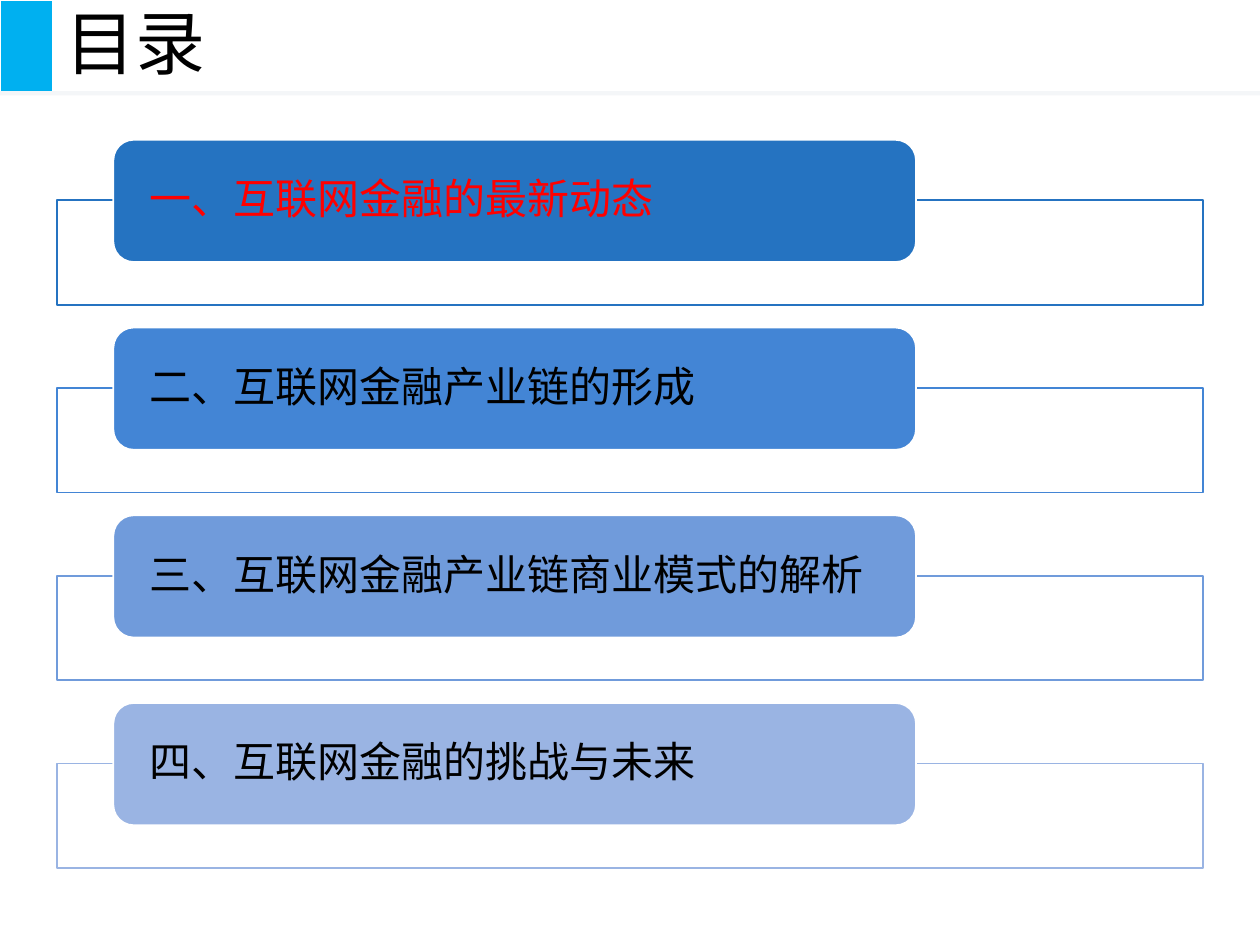
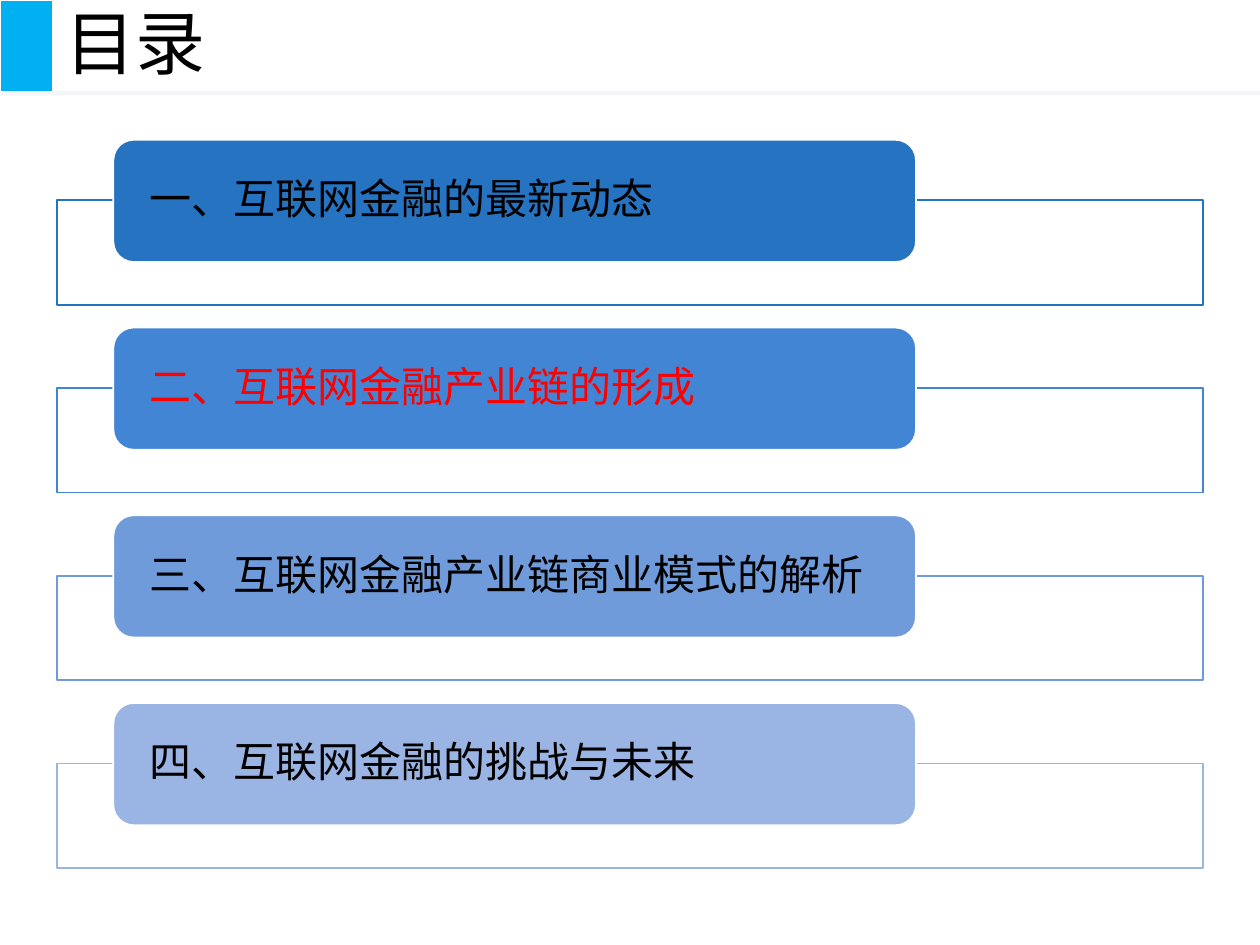
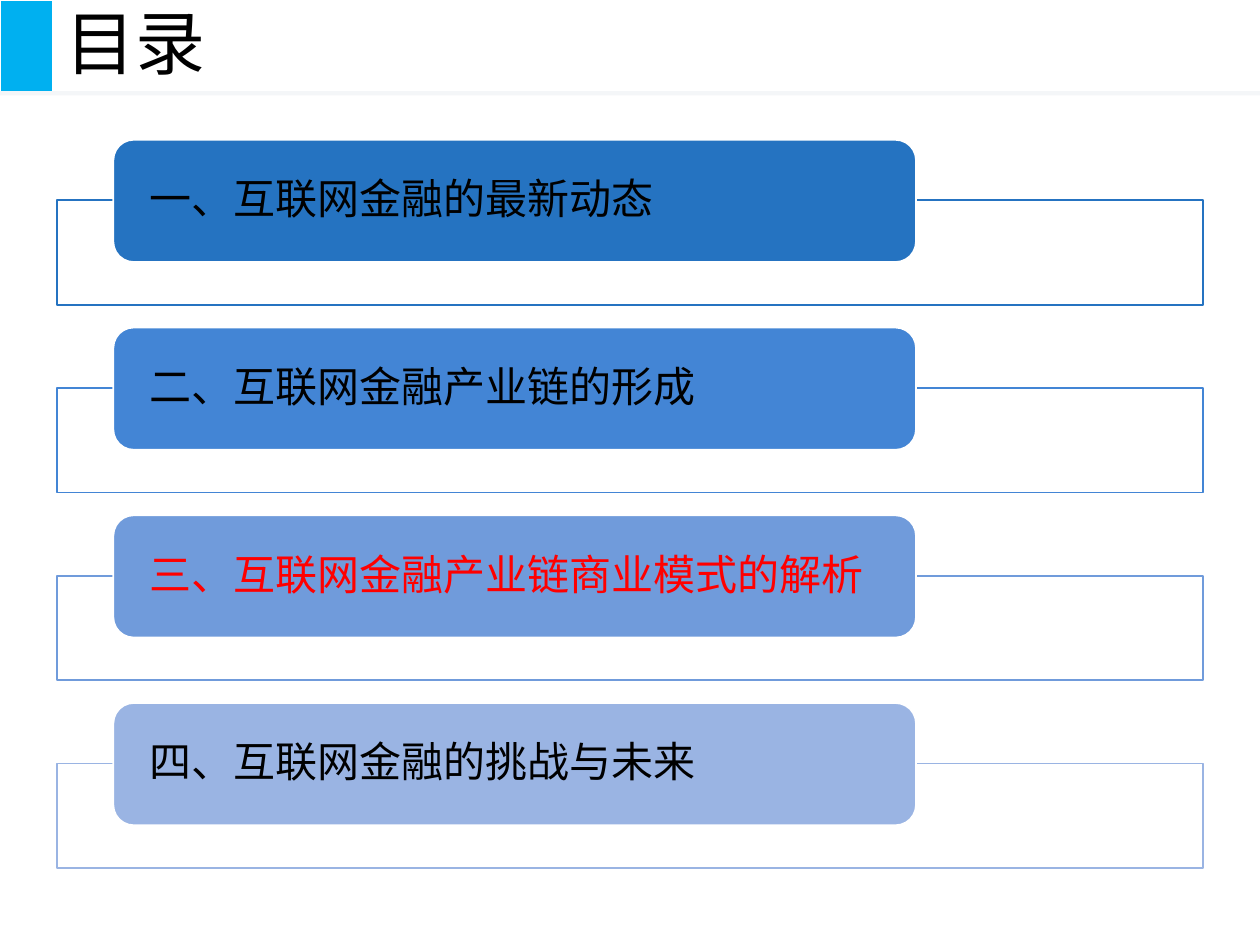
from dataclasses import dataclass

from pptx import Presentation
from pptx.dml.color import RGBColor as RGB
from pptx.enum.shapes import MSO_CONNECTOR as CONNECTOR, MSO_SHAPE as SHAPE
from pptx.enum.text import MSO_ANCHOR as ANCHOR, PP_ALIGN as ALIGN
from pptx.oxml.ns import qn
from pptx.util import Inches, Pt
from lxml import etree


@dataclass(frozen=True)
class Theme:
    font: str = "Arial"
    title_size: int = 40
    entry_size: int = 24
    text: str = "000000"
    current: str = "FF0000"
    accent: str = "00B0F0"
    rule: str = "CCD2DD"
    paper: str = "FFFFFF"


theme = Theme()

CHAPTERS = [
    ("一、互联网金融的最新动态", "2573C1"),
    ("二、互联网金融产业链的形成", "4385D5"),
    ("三、互联网金融产业链商业模式的解析", "709BDB"),
    ("四、互联网金融的挑战与未来", "9AB4E3"),
]
SLIDE_COUNT = 3
FIRST_TOP, PITCH = 1.11, 1.49


def add_panel(slide, kind, left, top, width, height, fill, line):
    panel = slide.shapes.add_shape(
        kind, Inches(left), Inches(top), Inches(width), Inches(height))
    panel.shadow.inherit = False
    panel.fill.solid()
    panel.fill.fore_color.rgb = RGB.from_string(fill)
    panel.line.color.rgb = RGB.from_string(line)
    panel.line.width = Pt(1)
    return panel


def style_text(frame, size, color):
    paragraph = frame.paragraphs[0]
    paragraph.alignment = ALIGN.LEFT
    paragraph.line_spacing = 0.9
    font = paragraph.runs[0].font
    font.name = theme.font
    font.size = Pt(size)
    font.color.rgb = RGB.from_string(color)


prs = Presentation()
prs.slide_width, prs.slide_height = Inches(10), Inches(7.5)
layout = prs.slide_layouts.get_by_name("Title Only")

# Title position, shared through the layout
layout_title = layout.placeholders[0]
layout_title.left, layout_title.top = Inches(0.42), Inches(0)
layout_title.width, layout_title.height = Inches(9.58), Inches(0.74)
layout_title.text_frame.vertical_anchor = ANCHOR.MIDDLE

slides = [prs.slides.add_slide(layout) for _ in range(SLIDE_COUNT)]

# Header block and pale rule, moved from the first slide to the layout
header_block = add_panel(slides[0], SHAPE.RECTANGLE, 0, 0, 0.42, 0.73,
                         theme.accent, theme.paper)
header_rule = slides[0].shapes.add_connector(
    CONNECTOR.STRAIGHT, Inches(0), Inches(0.74), Inches(10), Inches(0.74))
header_rule.line.color.rgb = RGB.from_string(theme.rule)
header_rule.line.width = Pt(2.5)
rule_color = header_rule.element.find(".//" + qn("a:srgbClr"))
etree.SubElement(rule_color, qn("a:alpha")).set("val", "20000")
etree.SubElement(header_rule.element.spPr, qn("a:effectLst"))
for header_part in (header_block, header_rule):
    layout.shapes.element.append(header_part.element)

# Contents slides, each with its own chapter highlighted
for current, slide in enumerate(slides):
    title = slide.shapes.title
    title.text_frame.text = "目录"
    style_text(title.text_frame, theme.title_size, theme.text)

    for index, (chapter, color) in enumerate(CHAPTERS):
        top = FIRST_TOP + index * PITCH
        add_panel(slide, SHAPE.RECTANGLE, 0.45, top + 0.48, 9.1, 0.83,
                  theme.paper, color)
        entry = add_panel(slide, SHAPE.ROUNDED_RECTANGLE, 0.9, top, 6.37, 0.97,
                          color, theme.paper)
        frame = entry.text_frame
        frame.word_wrap = True
        frame.vertical_anchor = ANCHOR.MIDDLE
        frame.margin_left = frame.margin_right = Inches(0.24)
        frame.margin_top = frame.margin_bottom = 0
        frame.text = chapter
        style_text(frame, theme.entry_size,
                   theme.current if index == current else theme.text)

prs.save("out.pptx")
